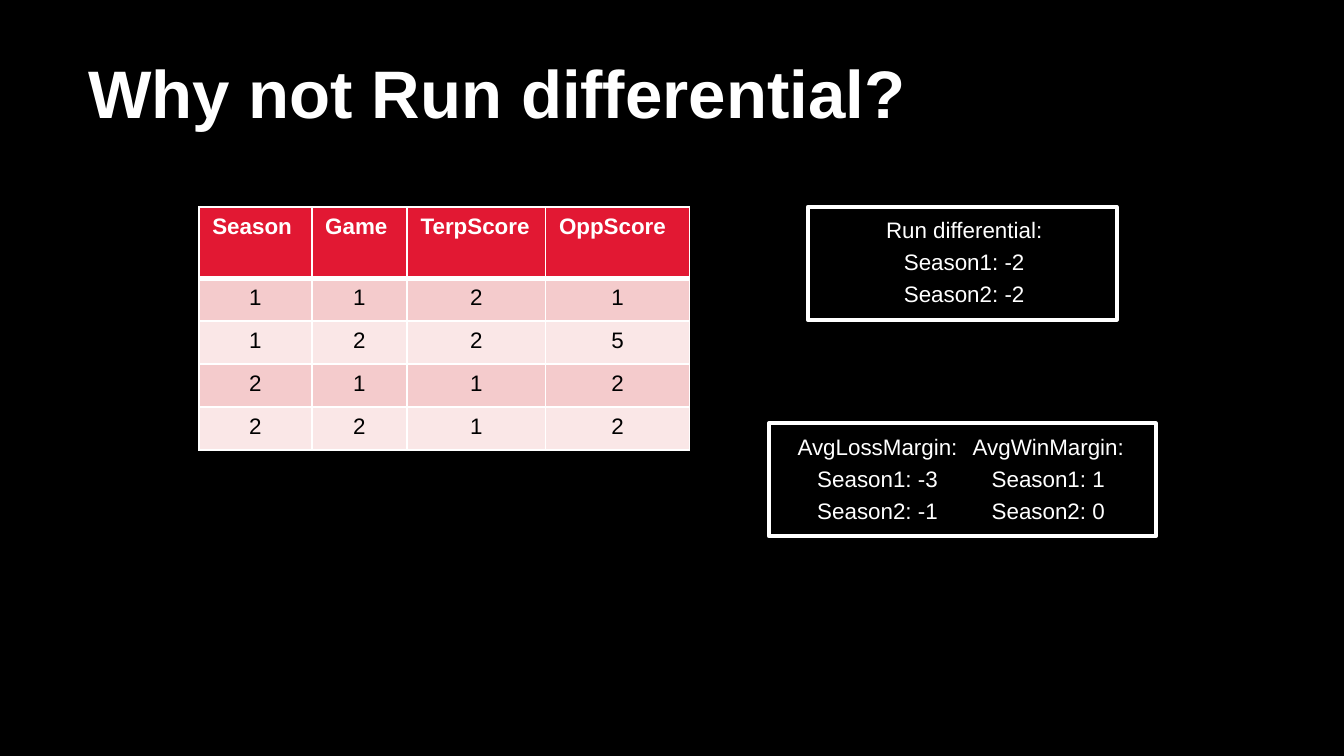
from lxml import etree
from pptx import Presentation
from pptx.dml.color import RGBColor
from pptx.enum.shapes import MSO_SHAPE as Shape
from pptx.enum.text import MSO_ANCHOR as Anchor, PP_ALIGN as Align
from pptx.oxml.ns import qn
from pptx.util import Inches, Pt

FONT = "Arial"
WHITE, BLACK, RED = "FFFFFF", "000000", "E21833"
BANDS = ["F4CBCC", "FAE7E7"]

HEADERS = ["Season", "Game", "TerpScore", "OppScore"]
GAMES = [(1, 1, 2, 1), (1, 2, 2, 5), (2, 1, 1, 2), (2, 2, 1, 2)]
COLUMN_WIDTHS = [0.84, 0.71, 1.03, 1.07]
HEADER_HEIGHT, GAME_HEIGHT = 0.53, 0.32


def rgb(color):
    return RGBColor.from_string(color)


def add_run(paragraph, text, size, color, bold=False):
    run = paragraph.add_run()
    run.text = text
    run.font.name = FONT
    run.font.size = Pt(size)
    run.font.bold = bold
    run.font.color.rgb = rgb(color)


def add_text_frame(slide, box, margins):
    frame = slide.shapes.add_textbox(*map(Inches, box)).text_frame
    frame.word_wrap = True
    frame.vertical_anchor = Anchor.MIDDLE
    (frame.margin_left, frame.margin_top,
     frame.margin_right, frame.margin_bottom) = map(Inches, margins)
    return frame


def add_title(slide, box, title):
    frame = add_text_frame(slide, box, (0, 0, 0, 0))
    add_run(frame.paragraphs[0], title, 36, WHITE, bold=True)


def add_summary(slide, box, lines):
    """Centred heading with one line per season."""
    frame = add_text_frame(slide, box, (0.05, 0.02, 0.02, 0.02))
    for index, line in enumerate(lines):
        paragraph = frame.add_paragraph() if index else frame.paragraphs[0]
        paragraph.alignment = Align.CENTER
        paragraph.line_spacing = 0.9
        if index:
            paragraph.space_before = Pt(4.2)
        add_run(paragraph, line, 12, WHITE)


def add_panel(slide, box, summaries):
    """White outline holding summaries, each given as (offset, width, lines)."""
    left, top, _, height = box
    outline = slide.shapes.add_shape(Shape.RECTANGLE, *map(Inches, box))
    outline.shadow.inherit = False
    outline.fill.background()
    outline.line.color.rgb = rgb(WHITE)
    outline.line.width = Pt(2)
    for offset, width, lines in summaries:
        add_summary(slide, (left + offset, top, width, height), lines)


def set_borders(cell, bottom_width, top_width):
    properties = cell._tc.get_or_add_tcPr()
    widths = {"a:lnL": 1, "a:lnR": 1, "a:lnT": top_width, "a:lnB": bottom_width}
    for position, (side, width) in enumerate(widths.items()):
        border = etree.Element(qn(side), w=str(int(Pt(width))))
        fill = etree.SubElement(border, qn("a:solidFill"))
        etree.SubElement(fill, qn("a:srgbClr"), val=WHITE)
        properties.insert(position, border)


def add_score_table(slide, left, top):
    heights = [HEADER_HEIGHT] + [GAME_HEIGHT] * len(GAMES)
    table = slide.shapes.add_table(
        len(heights), len(HEADERS), Inches(left), Inches(top),
        Inches(sum(COLUMN_WIDTHS)), Inches(sum(heights))).table
    for column, width in zip(table.columns, COLUMN_WIDTHS):
        column.width = Inches(width)
    for row, height in zip(table.rows, heights):
        row.height = Inches(height)

    for r, values in enumerate([HEADERS] + GAMES):
        is_header = r == 0
        for c, value in enumerate(values):
            cell = table.cell(r, c)
            cell.fill.solid()
            cell.fill.fore_color.rgb = rgb(RED if is_header else BANDS[(r - 1) % 2])
            paragraph = cell.text_frame.paragraphs[0]
            paragraph.alignment = Align.LEFT if is_header else Align.CENTER
            add_run(paragraph, str(value), 12, WHITE if is_header else BLACK, is_header)
            # The rule below the header is heavier
            set_borders(cell, bottom_width=3 if is_header else 1,
                        top_width=3 if r == 1 else 1)


def main():
    deck = Presentation()
    # Widescreen, 16:9
    deck.slide_width = Inches(10)
    deck.slide_height = Inches(10 * 9 / 16)
    slide = deck.slides.add_slide(deck.slide_layouts[6])
    slide.background.fill.solid()
    slide.background.fill.fore_color.rgb = rgb(BLACK)

    add_title(slide, (0.66, 0.34, 9.17, 0.68), "Why not Run differential?")

    # Run differential on top, average margins below
    add_panel(slide, (6.01, 1.54, 2.3, 0.84), [
        (0, 2.3, ["Run differential:", "Season1: -2", "Season2: -2"])])
    add_panel(slide, (5.72, 3.15, 2.88, 0.84), [
        (0, 1.59, ["AvgLossMargin:", "Season1: -3", "Season2: -1"]),
        (1.32, 1.49, ["AvgWinMargin:", "Season1: 1", "Season2: 0"])])

    add_score_table(slide, 1.48, 1.54)
    deck.save("out.pptx")


if __name__ == "__main__":
    main()
